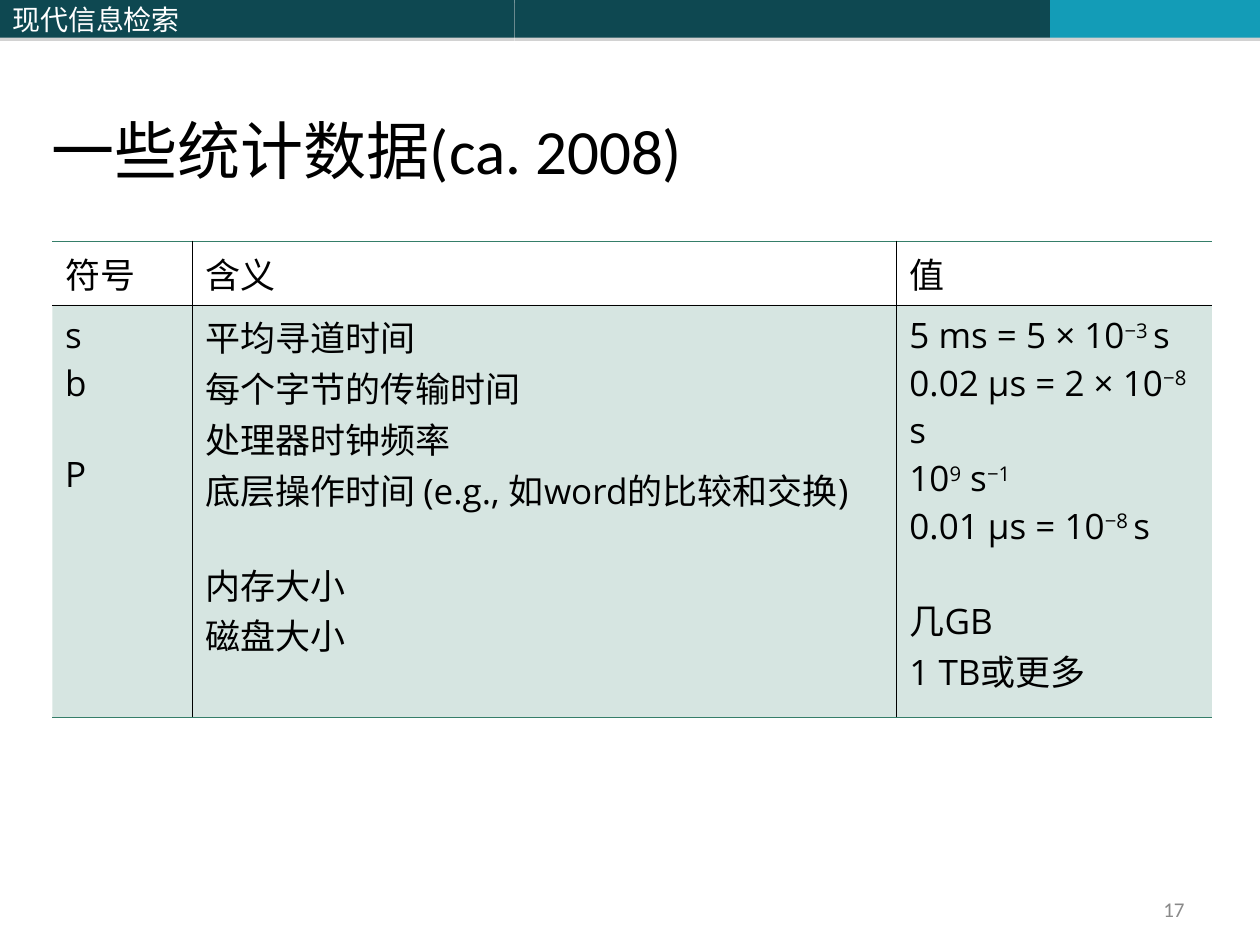
from dataclasses import dataclass

from lxml import etree
from pptx import Presentation
from pptx.dml.color import RGBColor
from pptx.enum.shapes import MSO_SHAPE
from pptx.enum.text import MSO_ANCHOR, MSO_AUTO_SIZE, PP_ALIGN
from pptx.oxml.ns import qn
from pptx.util import Pt

RECT = MSO_SHAPE.RECTANGLE
MIDDLE, BOTTOM = MSO_ANCHOR.MIDDLE, MSO_ANCHOR.BOTTOM
LEFT, RIGHT = PP_ALIGN.LEFT, PP_ALIGN.RIGHT


@dataclass(frozen=True)
class Theme:
    dark: str = "0E4851"
    light: str = "139CB7"
    green: str = "357E69"
    black: str = "000000"
    white: str = "FFFFFF"
    gray: str = "898989"
    shade: str = "808080"
    head: str = "Calibri"
    body: str = "Open Sans"
    asian: str = "Noto Sans CJK SC"
    title: int = 36
    cell: int = 20
    band: int = 16
    page: int = 12


@dataclass(frozen=True)
class Band:
    width: float
    color: str
    text: str = ""


@dataclass(frozen=True)
class Line:
    text: str
    gap: float = 0


THEME = Theme()
BAND_H = 21.6
GAP = 25
BANDS = [
    Band(294, THEME.dark, "现代信息检索"),
    Band(306, THEME.dark),
    Band(120, THEME.light),
]
COLS = [80, 402.5, 180]
ROWS = [36, 125.3]
CELLS = [
    [[Line("符号")], [Line("含义")], [Line("值")]],
    [
        [Line("s"), Line("b"), Line("P", GAP)],
        [
            Line("平均寻道时间"),
            Line("每个字节的传输时间"),
            Line("处理器时钟频率"),
            Line("底层操作时间 (e.g., 如word的比较和交换)"),
            Line("内存大小", GAP),
            Line("磁盘大小"),
        ],
        [
            Line("5 ms = 5 × 10^−3 ^s"),
            Line("0.02 μs = 2 × 10^−8 ^s"),
            Line("10^9^ s^−1^"),
            Line("0.01 μs = 10^−8 ^s"),
            Line("几GB", GAP),
            Line("1 TB或更多"),
        ],
    ],
]


def write(frame, lines: list[Line], *, size: float, color: str = THEME.black,
          font: str = THEME.body, align=LEFT) -> None:
    """Fill a text frame; parts between carets become superscript."""
    for i, line in enumerate(lines):
        para = frame.add_paragraph() if i else frame.paragraphs[0]
        para.alignment = align
        para.space_before = Pt(line.gap)
        for j, part in enumerate(line.text.split("^")):
            if not part:
                continue
            run = para.add_run()
            run.text = part
            run.font.size = Pt(size)
            run.font.name = font
            run.font.color.rgb = RGBColor.from_string(color)
            props = run.font._element
            etree.SubElement(props, qn("a:ea"), typeface=THEME.asian)
            if j % 2:
                props.set("baseline", "30000")


def add_alpha(node, share: int) -> None:
    etree.SubElement(node, qn("a:alpha"), val=str(share * 1000))


def add_band(slide, left: float, band: Band) -> None:
    shape = slide.shapes.add_shape(RECT, Pt(left), 0, Pt(band.width), Pt(BAND_H))
    shape.fill.solid()
    shape.fill.fore_color.rgb = RGBColor.from_string(band.color)
    shape.line.fill.background()
    shape.shadow.inherit = False
    effects = shape._element.spPr.find(qn("a:effectLst"))
    shadow = etree.SubElement(effects, qn("a:outerShdw"), blurRad="0",
                              dist=str(Pt(1.8)), dir="5400000",
                              algn="ctr", rotWithShape="0")
    add_alpha(etree.SubElement(shadow, qn("a:srgbClr"), val=THEME.shade), 35)
    if band.text:
        shape.text_frame.vertical_anchor = MIDDLE
        write(shape.text_frame, [Line(band.text)], size=THEME.band,
              color=THEME.white, font=THEME.asian)


def add_edge(cell, side: str, color: str = "", width: float = 0) -> None:
    """Draw one cell border, or clear it when no colour is given."""
    edge = etree.SubElement(cell._tc.get_or_add_tcPr(), qn(f"a:ln{side}"),
                            w=str(Pt(width)))
    if color:
        fill = etree.SubElement(edge, qn("a:solidFill"))
        etree.SubElement(fill, qn("a:srgbClr"), val=color)
    else:
        etree.SubElement(edge, qn("a:noFill"))


def add_stats(slide) -> None:
    table = slide.shapes.add_table(len(ROWS), len(COLS), Pt(30), Pt(138),
                                   Pt(sum(COLS)), Pt(sum(ROWS))).table
    table.first_row = table.horz_banding = False
    for col, width in zip(table.columns, COLS):
        col.width = Pt(width)
    for row, height in zip(table.rows, ROWS):
        row.height = Pt(height)
    inner, outer = (THEME.black, 0.5), (THEME.green, 1)
    for r, row in enumerate(CELLS):
        for c, lines in enumerate(row):
            cell = table.cell(r, c)
            add_edge(cell, "L", *(inner if c else ()))
            add_edge(cell, "R", *(inner if c < len(COLS) - 1 else ()))
            add_edge(cell, "T", *(inner if r else outer))
            add_edge(cell, "B", *(outer if r else inner))
            if r:
                cell.fill.solid()
                cell.fill.fore_color.rgb = RGBColor.from_string(THEME.green)
                add_alpha(cell._tc.tcPr.find(qn("a:solidFill"))[0], 20)
            else:
                cell.fill.background()
            write(cell.text_frame, lines, size=THEME.cell)


def add_title(slide, text: str) -> None:
    title = slide.shapes.title
    title.left, title.top = Pt(22.5), Pt(0.5)
    title.width, title.height = Pt(680), Pt(110)
    frame = title.text_frame
    frame.auto_size = MSO_AUTO_SIZE.NONE
    frame.vertical_anchor = BOTTOM
    write(frame, [Line(text)], size=THEME.title, font=THEME.head)


def add_page(slide, text: str) -> None:
    box = slide.shapes.add_textbox(Pt(516), Pt(510), Pt(168), Pt(19.5))
    box.text_frame.word_wrap = True
    box.text_frame.vertical_anchor = MIDDLE
    write(box.text_frame, [Line(text)], size=THEME.page, color=THEME.gray,
          font=THEME.head, align=RIGHT)


def main() -> None:
    deck = Presentation()
    deck.slide_width, deck.slide_height = Pt(720), Pt(540)
    slide = deck.slides.add_slide(deck.slide_layouts[5])
    left = 0
    for band in BANDS:
        add_band(slide, left, band)
        left += band.width
    add_title(slide, "一些统计数据(ca. 2008)")
    add_stats(slide)
    add_page(slide, "17")
    deck.save("out.pptx")


if __name__ == "__main__":
    main()
